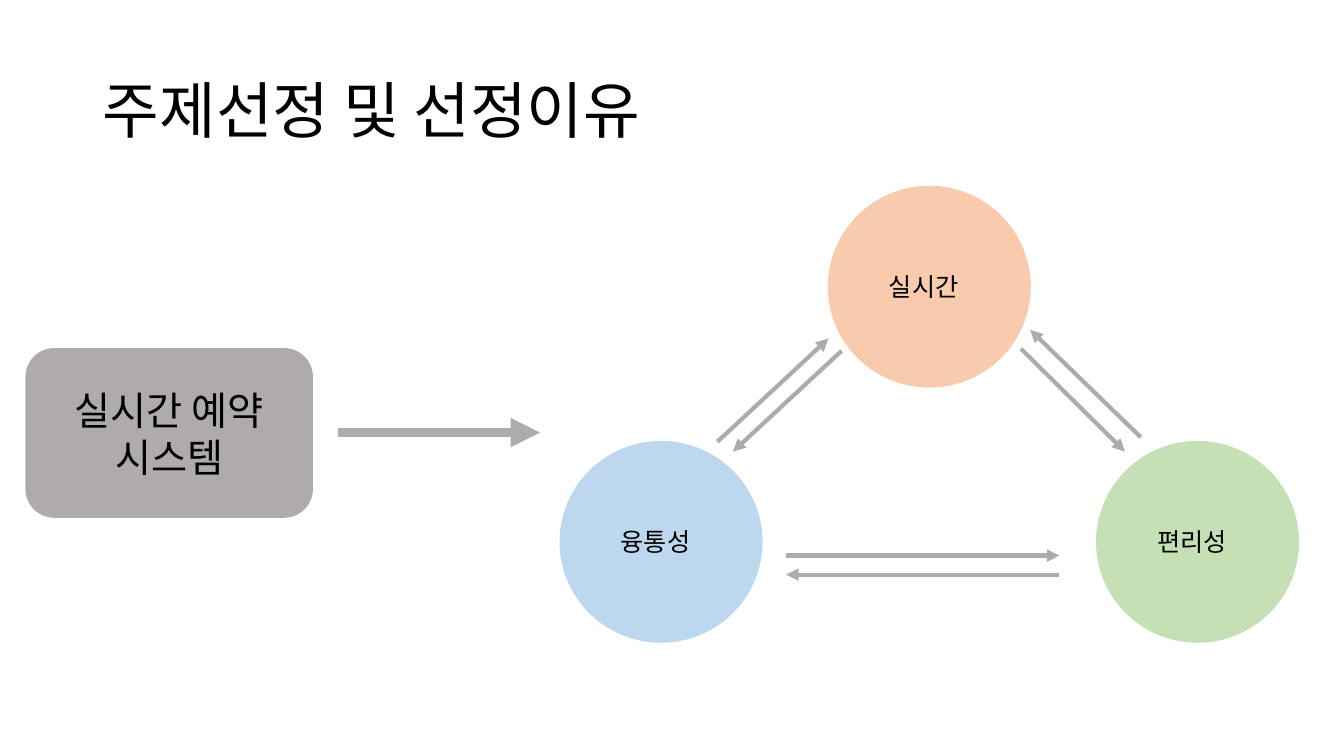
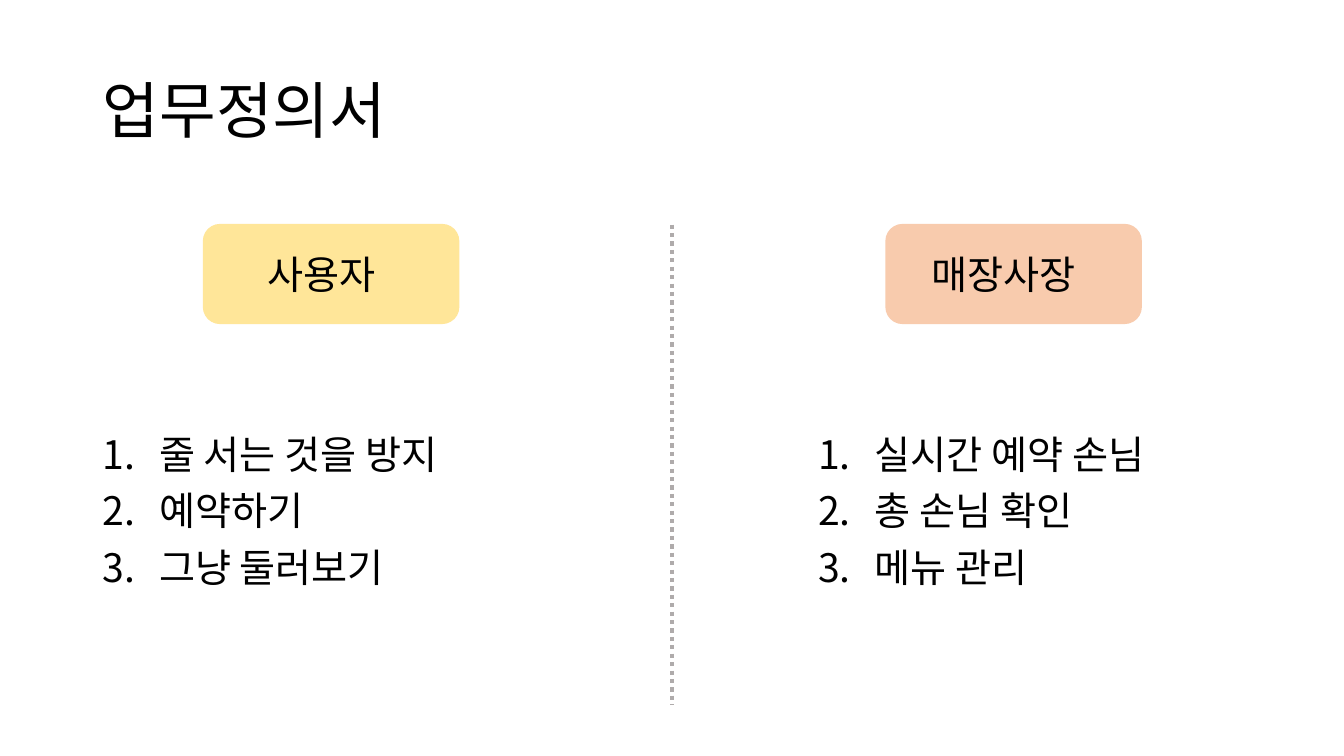
"""Build two slides: the topic with its reasons, and the task definition."""
from dataclasses import dataclass

from pptx import Presentation
from pptx.dml.color import RGBColor
from pptx.enum.dml import MSO_LINE
from pptx.enum.shapes import MSO_CONNECTOR, MSO_SHAPE
from pptx.enum.text import MSO_ANCHOR, PP_ALIGN
from pptx.oxml.ns import qn
from pptx.util import Cm, Pt
from lxml.etree import SubElement


@dataclass(frozen=True)
class Theme:
    font: str = "Noto Sans CJK KR"
    text: str = "000000"
    gray: str = "AFABAB"
    blue: str = "BDD7EE"
    green: str = "C5E0B4"
    orange: str = "F8CBAD"
    yellow: str = "FFE699"
    title_size: int = 44
    body_size: int = 28
    label_size: int = 18
    outline: int = 1
    line: int = 3
    thick_line: int = 7
    line_spacing: float = 0.9
    paragraph_gap: int = 10


THEME = Theme()
SLIDE_SIZE = (33.87, 19.05)
TITLE_BOX = (2.34, 1.02, 29.21, 3.68)
INSET = 0.25

TOPIC_TITLE = "주제선정 및 선정이유"
SYSTEM = "실시간 예약 시스템"
SYSTEM_BOX = (0.66, 8.79, 7.21, 4.24)
SYSTEM_ARROW = ((8.53, 10.9), (13.61, 10.9))
REASONS = [
    ("융통성", THEME.blue, 0, 11.13),
    ("편리성", THEME.green, 2, 11.13),
    ("실시간", THEME.orange, 1, 4.7),
]
REASON_LEFT, REASON_STEP = 14.12, 6.76
REASON_SIZE = (5.08, 5.05)
REASON_NUDGE = 0.28
REASON_ARROWS = [
    ((18.08, 11.13), (20.88, 8.53)),
    ((21.21, 8.84), (18.47, 11.38)),
    ((19.81, 14), (26.7, 14)),
    ((26.7, 14.48), (19.81, 14.48)),
    ((25.73, 8.79), (28.35, 11.38)),
    ((28.75, 11.02), (25.96, 8.31)),
]

TASK_TITLE = "업무정의서"
ROLES = [
    ("사용자", THEME.yellow, 5.13, 2.34,
     ["줄 서는 것을 방지", "예약하기", "그냥 둘러보기"]),
    ("매장사장", THEME.orange, 22.33, 20.37,
     ["실시간 예약 손님", "총 손님 확인", "메뉴 관리"]),
]
ROLE_TOP, ROLE_SIZE, ROLE_NUDGE = 5.66, (6.43, 2.49), 0.5
LIST_TOP, LIST_SIZE, LIST_INDENT = 10.77, (11.18, 4.32), 1.42
DIVIDER = ((16.93, 5.66), (16.93, 17.75))


def color(value):
    return RGBColor.from_string(value)


def format_paragraph(paragraph, size):
    for run in paragraph.runs:
        run.font.size = Pt(size)
        run.font.color.rgb = color(THEME.text)
        run.font.name = THEME.font
        east_asian = SubElement(run._r.get_or_add_rPr(), qn("a:ea"))
        east_asian.set("typeface", THEME.font)


def add_text(slide, box, lines, size):
    text_frame = slide.shapes.add_textbox(*map(Cm, box)).text_frame
    text_frame.word_wrap = True
    text_frame.vertical_anchor = MSO_ANCHOR.MIDDLE
    text_frame.text = "\n".join(lines)
    for paragraph in text_frame.paragraphs:
        paragraph.line_spacing = THEME.line_spacing
        format_paragraph(paragraph, size)
    return text_frame.paragraphs


def add_numbered_list(slide, box, items):
    for paragraph in add_text(slide, box, items, THEME.body_size):
        paragraph.space_before = Pt(THEME.paragraph_gap)
        properties = paragraph._p.get_or_add_pPr()
        properties.set("marL", str(Cm(LIST_INDENT)))
        properties.set("indent", str(-Cm(LIST_INDENT)))
        SubElement(properties, qn("a:buAutoNum")).set("type", "arabicPeriod")


def add_label_shape(slide, kind, box, fill, label, size, nudge=0):
    shape = slide.shapes.add_shape(kind, *map(Cm, box))
    shape.shadow.inherit = False
    shape.fill.solid()
    shape.fill.fore_color.rgb = color(fill)
    shape.line.color.rgb = color(fill)
    shape.line.width = Pt(THEME.outline)
    text_frame = shape.text_frame
    text_frame.word_wrap = True
    text_frame.vertical_anchor = MSO_ANCHOR.MIDDLE
    text_frame.margin_left = Cm(INSET)
    text_frame.margin_right = Cm(INSET + nudge)
    text_frame.text = label
    paragraph = text_frame.paragraphs[0]
    paragraph.alignment = PP_ALIGN.CENTER
    format_paragraph(paragraph, size)


def add_line(slide, start, end, width=THEME.line, arrow=True, dash=None):
    connector = slide.shapes.add_connector(
        MSO_CONNECTOR.STRAIGHT, *map(Cm, start + end))
    connector.line.color.rgb = color(THEME.gray)
    connector.line.width = Pt(width)
    if dash:
        connector.line.dash_style = dash
    if arrow:
        outline = connector.line._get_or_add_ln()
        SubElement(outline, qn("a:tailEnd")).set("type", "triangle")
    SubElement(connector._element.spPr, qn("a:effectLst"))


def add_titled_slide(presentation, title):
    slide = presentation.slides.add_slide(presentation.slide_layouts[6])
    add_text(slide, TITLE_BOX, [title], THEME.title_size)
    return slide


def build_topic(presentation):
    slide = add_titled_slide(presentation, TOPIC_TITLE)
    for label, fill, column, top in REASONS:
        box = (REASON_LEFT + column * REASON_STEP, top, *REASON_SIZE)
        add_label_shape(slide, MSO_SHAPE.OVAL, box, fill, label,
                        THEME.label_size, REASON_NUDGE)
    for start, end in REASON_ARROWS:
        add_line(slide, start, end)
    add_label_shape(slide, MSO_SHAPE.ROUNDED_RECTANGLE, SYSTEM_BOX,
                    THEME.gray, SYSTEM, THEME.body_size)
    add_line(slide, *SYSTEM_ARROW, width=THEME.thick_line)


def build_tasks(presentation):
    slide = add_titled_slide(presentation, TASK_TITLE)
    for role, fill, left, list_left, tasks in ROLES:
        add_label_shape(slide, MSO_SHAPE.ROUNDED_RECTANGLE,
                        (left, ROLE_TOP, *ROLE_SIZE), fill, role,
                        THEME.body_size, ROLE_NUDGE)
        add_numbered_list(slide, (list_left, LIST_TOP, *LIST_SIZE), tasks)
    add_line(slide, *DIVIDER, arrow=False, dash=MSO_LINE.ROUND_DOT)


def main():
    presentation = Presentation()
    presentation.slide_width, presentation.slide_height = map(Cm, SLIDE_SIZE)
    build_topic(presentation)
    build_tasks(presentation)
    presentation.save("out.pptx")


if __name__ == "__main__":
    main()
